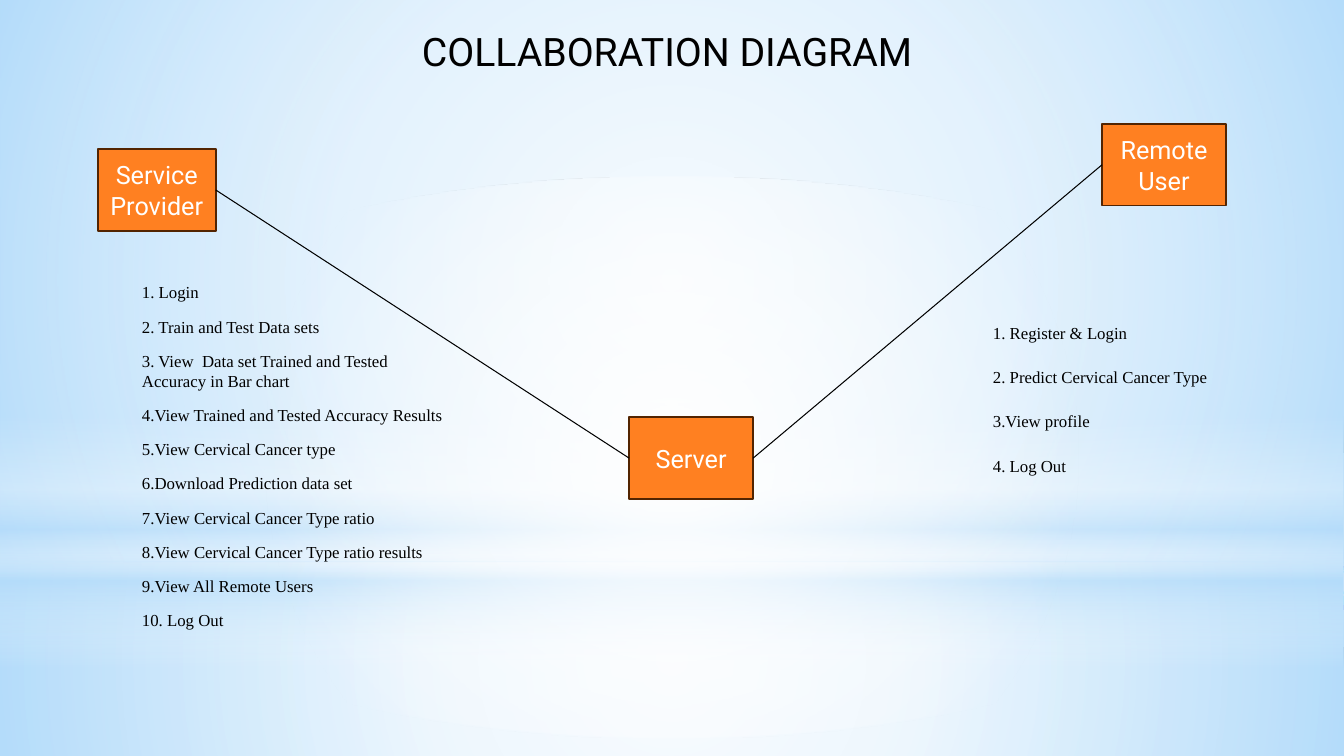
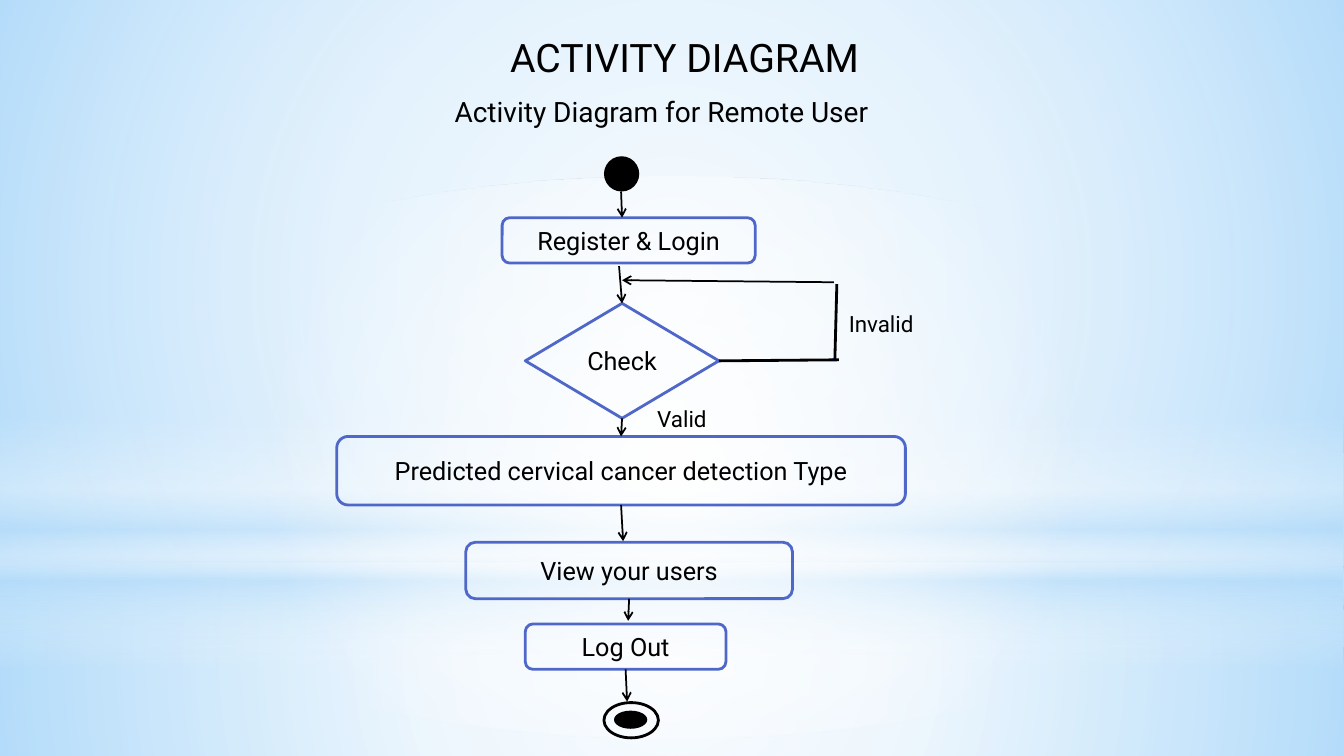
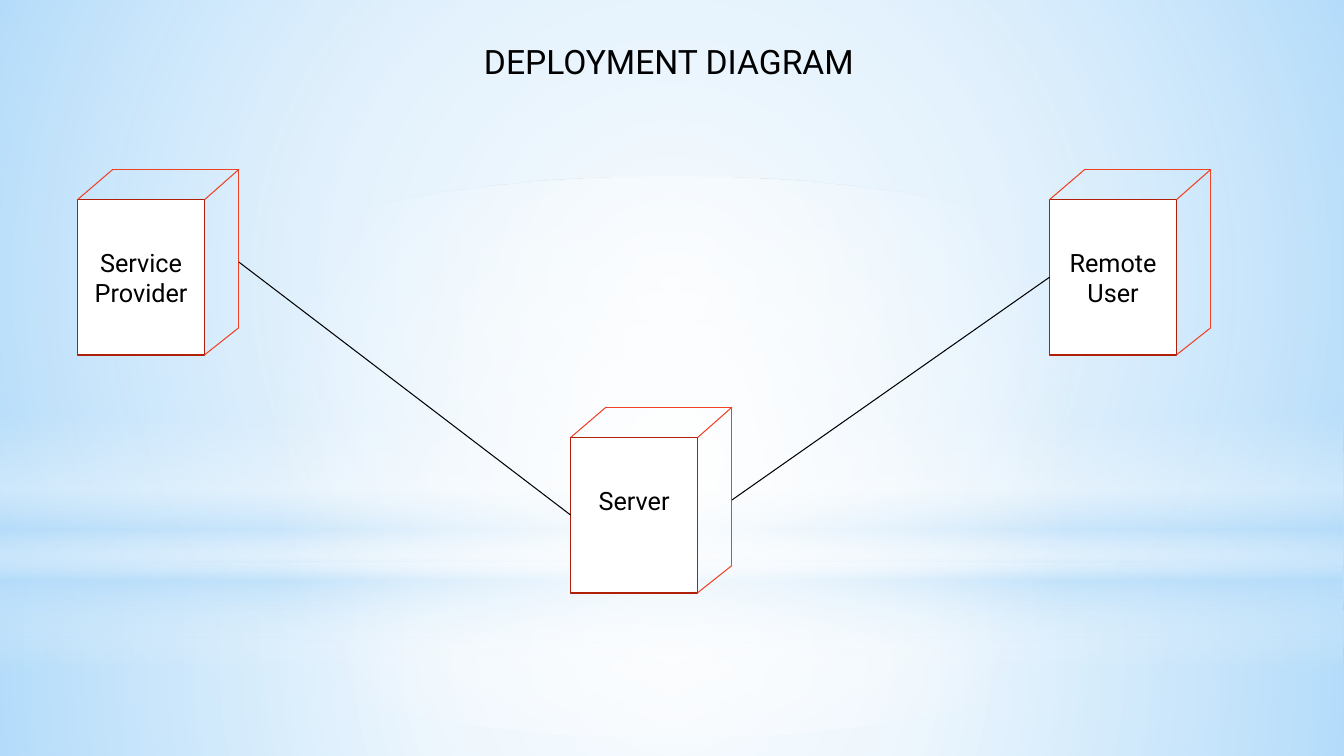
from pptx import Presentation
from pptx.dml.color import RGBColor
from pptx.enum.shapes import MSO_CONNECTOR, MSO_SHAPE
from pptx.enum.text import MSO_ANCHOR, MSO_AUTO_SIZE, PP_ALIGN
from pptx.oxml import parse_xml
from pptx.oxml.ns import nsdecls, qn
from pptx.util import Pt

PX = 9144  # EMU per px, 100 px to the inch
WIDTH, HEIGHT = 1333, 750
TITLE_ONLY = 5

LEFT, CENTER = PP_ALIGN.LEFT, PP_ALIGN.CENTER
TOP, MIDDLE = MSO_ANCHOR.TOP, MSO_ANCHOR.MIDDLE
NO_AUTOSIZE = MSO_AUTO_SIZE.NONE
STRAIGHT = MSO_CONNECTOR.STRAIGHT
RECT, ROUNDED = MSO_SHAPE.RECTANGLE, MSO_SHAPE.ROUNDED_RECTANGLE
ELLIPSE, DIAMOND = MSO_SHAPE.OVAL, MSO_SHAPE.DIAMOND
SIDE_TOP, SIDE_LEFT, SIDE_BOTTOM, SIDE_RIGHT = range(4)

SANS, SERIF = "Roboto", "Times New Roman"
BLACK, WHITE, SKY = "000000", "FFFFFF", "B4DCFA"
ORANGE, BROWN = "FF8021", "522401"
BLUE, NAVY = "4E67C8", "2A3E8E"
RED, DARK_RED = "F14124", "B01F07"

CIRCLE = ('<a:path path="circle"><a:fillToRect l="50000" t="50000" '
          'r="50000" b="50000"/></a:path>')
DOWNWARD = '<a:lin ang="5400000" scaled="0"/>'

# Background panels: shape, box, (position, colour, opacity) stops, direction
PANELS = [
    (RECT, (0, 558, WIDTH, 192),
     [(0, WHITE, 91), (37, WHITE, 76), (100, SKY, 79)], CIRCLE),
    (RECT, (0, 0, WIDTH, 558),
     [(0, WHITE, 89), (48, WHITE, 62), (100, SKY, 79)], CIRCLE),
    (RECT, (0, 412, WIDTH, 250),
     [(0, WHITE, 0), (29, WHITE, 30), (45, SKY, 40), (55, WHITE, 26),
      (65, SKY, 60), (100, WHITE, 0)], DOWNWARD),
    (ELLIPSE, (0, 175, WIDTH, 558),
     [(0, WHITE, 100), (56, WHITE, 0)], CIRCLE),
]

PROVIDER_STEPS = [
    "1. Login",
    "2. Train and Test Data sets",
    "3. View  Data set Trained and Tested Accuracy in Bar chart",
    "4.View Trained and Tested Accuracy Results",
    "5.View Cervical Cancer type",
    "6.Download Prediction data set",
    "7.View Cervical Cancer Type ratio",
    "8.View Cervical Cancer Type ratio results",
    "9.View All Remote Users",
    "10. Log Out",
]
USER_STEPS = [
    "1. Register & Login",
    "2. Predict Cervical Cancer Type",
    "3.View profile",
    "4. Log Out",
]


def color(value):
    return RGBColor.from_string(value)


def emu(lengths):
    return [length * PX for length in lengths]


def write(shape, text, size, fill=BLACK, align=LEFT, anchor=TOP, font=SANS,
          after=None, spacing=None):
    frame = shape.text_frame
    frame.text = text
    frame.word_wrap = True
    frame.auto_size = NO_AUTOSIZE
    frame.vertical_anchor = anchor
    for para in frame.paragraphs:
        para.alignment = align
        if after is not None:
            para.space_after = Pt(after)
        if spacing is not None:
            para.line_spacing = spacing
        for span in para.runs:
            span.font.name = font
            span.font.size = Pt(size)
            span.font.color.rgb = color(fill)


def add_box(slide, kind, box, fill=None, line=None, weight=1.25,
            text=None, ink=BLACK):
    shape = slide.shapes.add_shape(kind, *emu(box))
    shape.shadow.inherit = False
    if fill:
        shape.fill.solid()
        shape.fill.fore_color.rgb = color(fill)
    else:
        shape.fill.background()
    if line:
        shape.line.color.rgb = color(line)
        shape.line.width = Pt(weight)
    else:
        shape.line.fill.background()
    if text:
        write(shape, text, 18, ink, CENTER, MIDDLE)
    return shape


def add_label(slide, box, text, size, **style):
    write(slide.shapes.add_textbox(*emu(box)), text, size, **style)


def add_line(slide, start, end, line=BLACK, weight=0.75, arrow=False):
    """Draw a line; each end is a point or a (shape, side) pair."""
    joined = [not isinstance(stop[0], int) for stop in (start, end)]
    points = [(0, 0) if join else stop
              for join, stop in zip(joined, (start, end))]
    connector = slide.shapes.add_connector(STRAIGHT, *emu(points[0] + points[1]))
    if joined[0]:
        connector.begin_connect(*start)
    if joined[1]:
        connector.end_connect(*end)
    connector.line.color.rgb = color(line)
    connector.line.width = Pt(weight)
    properties = connector.element.spPr
    if arrow:
        properties.find(qn("a:ln")).append(
            parse_xml(f'<a:tailEnd {nsdecls("a")} type="arrow"/>'))
    properties.append(parse_xml(f'<a:effectLst {nsdecls("a")}/>'))


def add_cube(slide, left, top, text):
    """Draw a white front face with the open edges of its lid and side."""
    front = add_box(slide, RECT, (left, top, 126, 154), WHITE, DARK_RED,
                    text=text)
    right, back = left + 126, left + 160
    lid, base = top - 30, top + 127
    edges = [
        ((left, top), (left + 35, lid)),
        ((left + 35, lid), (back, lid)),
        ((right, top), (back, lid)),
        ((back, lid), (back, base)),
        ((right, top + 154), (back, base)),
    ]
    for start, end in edges:
        add_line(slide, start, end, RED)
    return front


def set_gradient(shape, stops, direction):
    marks = "".join(
        f'<a:gs pos="{position * 1000}"><a:srgbClr val="{value}">'
        f'<a:alpha val="{opacity * 1000}"/></a:srgbClr></a:gs>'
        for position, value, opacity in stops)
    gradient = parse_xml(f'<a:gradFill {nsdecls("a")} rotWithShape="1">'
                         f'<a:gsLst>{marks}</a:gsLst>{direction}</a:gradFill>')
    properties = shape.element.spPr
    properties.replace(properties.find(qn("a:noFill")), gradient)


def add_background(deck, slide):
    """Draw the panels once and move them to the layout behind all slides."""
    fill = deck.slide_master.background.fill
    fill.solid()
    fill.fore_color.rgb = color(SKY)
    tree = slide.slide_layout.element.cSld.spTree
    for index, (kind, box, stops, direction) in enumerate(PANELS):
        panel = add_box(slide, kind, box)
        set_gradient(panel, stops, direction)
        panel.element.nvSpPr.cNvPr.set("id", str(100 + index))
        tree.insert(2 + index, panel.element)


def add_slide(deck, title, box, size=28, align=LEFT):
    slide = deck.slides.add_slide(deck.slide_layouts[TITLE_ONLY])
    holder = slide.shapes.title
    holder.left, holder.top, holder.width, holder.height = emu(box)
    write(holder, title, size, align=align)
    return slide


def add_collaboration(deck):
    slide = add_slide(deck, "COLLABORATION DIAGRAM", (403, 22, 517, 57),
                      align=CENTER)
    provider, server, user = [
        add_box(slide, RECT, box, ORANGE, BROWN, text=text, ink=WHITE)
        for text, box in [
            ("Service Provider", (97, 148, 117, 81)),
            ("Server", (624, 414, 123, 81)),
            ("Remote User", (1093, 123, 123, 81)),
        ]]
    add_line(slide, (provider, SIDE_RIGHT), (server, SIDE_LEFT))
    add_line(slide, (server, SIDE_RIGHT), (user, SIDE_LEFT))
    add_label(slide, (131, 275, 324, 367), "\n".join(PROVIDER_STEPS), 12,
              font=SERIF, after=10)
    add_label(slide, (975, 305, 307, 218), "\n".join(USER_STEPS), 12,
              font=SERIF, after=10, spacing=1.5)
    return slide


def add_activity(deck):
    slide = add_slide(deck, "ACTIVITY DIAGRAM", (496, 28, 782, 57))
    add_label(slide, (441, 89, 522, 44), "Activity Diagram for Remote User", 20)

    # Steps, with the start and end marks
    add_box(slide, ELLIPSE, (599, 155, 35, 35), BLACK)
    register, check, predicted, view, log_out = [
        add_box(slide, kind, box, line=BLUE, weight=2, text=text)
        for kind, box, text in [
            (ROUNDED, (498, 216, 251, 45), "Register & Login"),
            (DIAMOND, (521, 301, 192, 114), "Check"),
            (ROUNDED, (334, 433, 564, 68),
             "Predicted cervical cancer detection Type"),
            (ROUNDED, (462, 538, 324, 56), "View your users"),
            (ROUNDED, (521, 619, 199, 45), "Log Out"),
        ]]
    add_box(slide, ELLIPSE, (599, 697, 54, 35), line=BLACK, weight=2)
    add_box(slide, ELLIPSE, (609, 705, 33, 18), BLACK)

    # Flow downwards, then the return from the invalid check
    arrows = [
        ((616, 190), (617, 216)),
        ((614, 264), (check, SIDE_TOP)),
        ((check, SIDE_BOTTOM), (616, 433)),
        ((predicted, SIDE_BOTTOM), (618, 537)),
        ((view, SIDE_BOTTOM), (623, 616)),
        ((log_out, SIDE_BOTTOM), (622, 696)),
        ((827, 280), (617, 278)),
    ]
    for start, end in arrows:
        add_line(slide, start, end, weight=1.25, arrow=True)
    add_line(slide, (check, SIDE_RIGHT), (832, 357), weight=2)
    add_line(slide, (826, 356), (826, 355), NAVY, 1.25)
    add_line(slide, (828, 358), (830, 282), weight=2)
    add_label(slide, (642, 397, 92, 26), "Valid", 16)
    add_label(slide, (832, 303, 137, 37), "Invalid", 16)


def add_deployment(deck):
    slide = add_slide(deck, "DEPLOYMENT DIAGRAM", (470, 36, 634, 50), 24)
    add_cube(slide, 77, 198, "Service\nProvider")
    server = add_cube(slide, 566, 434, "Server")
    server.text_frame.margin_bottom = 34 * PX
    user = add_cube(slide, 1041, 198, "Remote User")
    add_line(slide, (237, 260), (server, SIDE_LEFT))
    add_line(slide, (726, 496), (user, SIDE_LEFT))


def main():
    deck = Presentation()
    deck.slide_width, deck.slide_height = emu((WIDTH, HEIGHT))
    first = add_collaboration(deck)
    add_background(deck, first)
    add_activity(deck)
    add_deployment(deck)
    deck.save("out.pptx")


if __name__ == "__main__":
    main()
